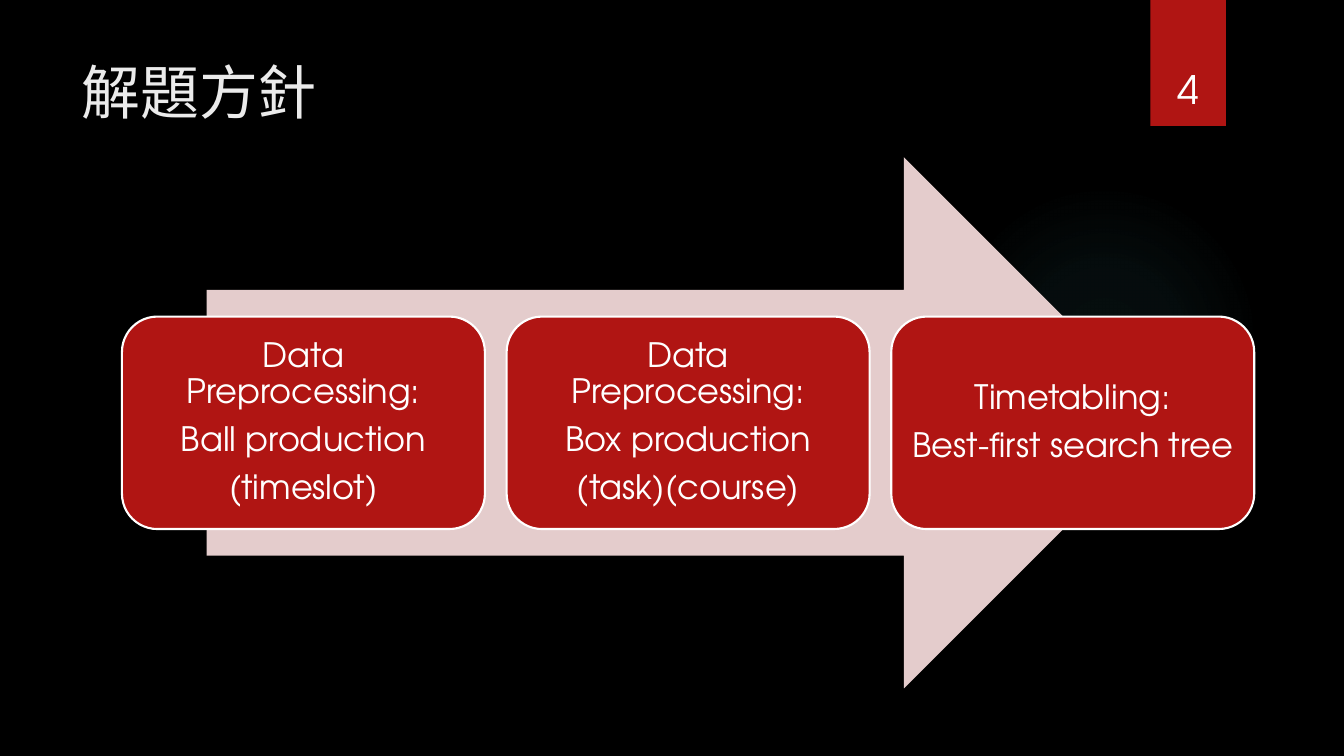
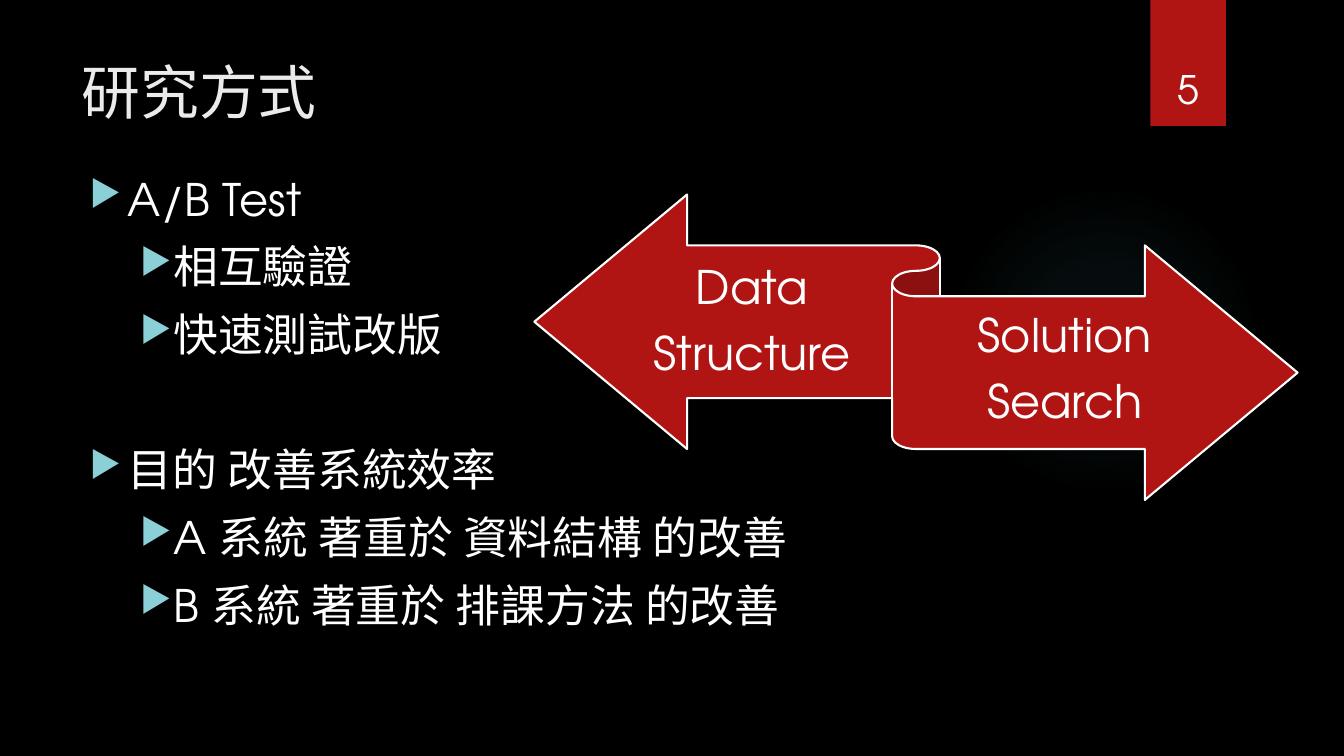
from lxml import etree
from pptx import Presentation
from pptx.dml.color import RGBColor
from pptx.enum.shapes import MSO_SHAPE
from pptx.enum.text import MSO_ANCHOR, PP_ALIGN
from pptx.oxml import parse_xml
from pptx.oxml.ns import nsdecls, qn
from pptx.util import Inches, Pt

CENTER, LEFT = PP_ALIGN.CENTER, PP_ALIGN.LEFT
TOP, MIDDLE, BOTTOM = MSO_ANCHOR.TOP, MSO_ANCHOR.MIDDLE, MSO_ANCHOR.BOTTOM

FONT = "TeX Gyre Adventor"
COLORS = {"ground": "000000", "red": "B01513", "pink": "E4CCCC", "white": "FFFFFF",
          "title": "EBEBEB", "bullet": "8AD0D6", "glow": "50B9C1"}
WIDTH, HEIGHT = 13.33, 7.5

STEPS_TITLE = "解題方針"
STEPS = [
    ["Data Preprocessing:", "Ball production", "(timeslot)"],
    ["Data Preprocessing:", "Box production", "(task)(course)"],
    ["Timetabling:", "Best-first search tree"],
]
METHOD_TITLE = "研究方式"
METHOD = [
    ("A/B Test", ["相互驗證", "快速測試改版"]),
    ("目的 改善系統效率", ["A 系統 著重於 資料結構 的改善", "B 系統 著重於 排課方法 的改善"]),
]
RIBBON_SIDES = [
    (["Data", "Structure"], (0.12, 0.175, 0.33, 0.49)),
    (["Solution", "Search"], (0.5, 0.333, 0.39, 0.49)),
]

GLOW_BOX = (9.41, 1.83, 3.08, 3.08)
GLOW_STOPS = [(0, 7), (36, 6), (69, 0)]
BADGE_BOX = (11.41, 0, 0.75, HEIGHT / 6)
TITLE_BOX = (0.71, 0.5, 10.29, 1.53)
ARROW_BOX = (2.05, 1.56, 9.55, 5.27)
STEP_LEFT, STEP_WIDTH, STEP_PITCH = 1.21, 3.6, 3.815
BODY_BOX = (0.79, 1.65, 9.78, 4.59)
RIBBON_BOX = (5.3, 1.93, 7.57, 3.03)
LEVEL_INDENTS = [(0.38, 0.38), (0.81, 0.31)]
BULLET_GAP, GROUP_GAP = 10, 58


def rgb(name):
    return RGBColor.from_string(COLORS[name])


def add_figure(slide, preset, box, fill, outlined=False):
    figure = slide.shapes.add_shape(preset, *map(Inches, box))
    figure.shadow.inherit = False
    figure.fill.solid()
    figure.fill.fore_color.rgb = rgb(fill)
    if outlined:
        figure.line.color.rgb = rgb("white")
        figure.line.width = Pt(1.5)
    else:
        figure.line.fill.background()
    return figure


def add_textbox(slide, box):
    return slide.shapes.add_textbox(*map(Inches, box))


def set_frame(shape, anchor, margins):
    frame = shape.text_frame
    frame.word_wrap = True
    frame.vertical_anchor = anchor
    (frame.margin_left, frame.margin_top,
     frame.margin_right, frame.margin_bottom) = map(Inches, margins)
    return frame


def style(paragraph, size, color="white", align=LEFT):
    paragraph.alignment = align
    paragraph.font.name = FONT
    paragraph.font.size = Pt(size)
    paragraph.font.color.rgb = rgb(color)


def write_lines(frame, lines, size, color="white", align=CENTER):
    frame.text = "\n".join(lines)
    for paragraph in frame.paragraphs:
        style(paragraph, size, color, align)
        if len(lines) > 1:
            paragraph.line_spacing = 0.9
            paragraph.space_after = Pt(0.35 * size)


def add_glow(slide):
    glow = add_figure(slide, MSO_SHAPE.OVAL, GLOW_BOX, "glow")
    stops = "".join(
        f'<a:gs pos="{position * 1000}"><a:srgbClr val="{COLORS["glow"]}">'
        f'<a:alpha val="{alpha * 1000}"/></a:srgbClr></a:gs>'
        for position, alpha in GLOW_STOPS)
    gradient = parse_xml(
        f'<a:gradFill {nsdecls("a")}><a:gsLst>{stops}</a:gsLst><a:path path="circle">'
        '<a:fillToRect l="50000" t="50000" r="50000" b="50000"/></a:path></a:gradFill>')
    properties = glow.fill._xPr
    properties.replace(properties.find(qn("a:solidFill")), gradient)


def add_bullet(paragraph, level):
    left, hanging = LEVEL_INDENTS[level]
    properties = paragraph._p.get_or_add_pPr()
    properties.set("marL", str(Inches(left)))
    properties.set("indent", str(-Inches(hanging)))
    color = etree.SubElement(properties, qn("a:buClr"))
    etree.SubElement(color, qn("a:srgbClr"), val=COLORS["bullet"])
    etree.SubElement(properties, qn("a:buSzPct"), val="80000")
    etree.SubElement(properties, qn("a:buChar"), char="▶")


def start_slide(deck, title, number):
    slide = deck.slides.add_slide(deck.slide_layouts[6])
    slide.background.fill.solid()
    slide.background.fill.fore_color.rgb = rgb("ground")
    add_glow(slide)
    badge = add_figure(slide, MSO_SHAPE.RECTANGLE, BADGE_BOX, "red")
    write_lines(set_frame(badge, BOTTOM, (0, 0, 0, 0.14)), [str(number)], 28)
    heading = set_frame(add_textbox(slide, TITLE_BOX), TOP, (0.1, 0.05, 0.1, 0.05))
    write_lines(heading, [title], 42, "title", LEFT)
    return slide


def build_steps(deck):
    slide = start_slide(deck, STEPS_TITLE, 4)
    add_figure(slide, MSO_SHAPE.RIGHT_ARROW, ARROW_BOX, "pink")
    arrow_top, arrow_height = ARROW_BOX[1], ARROW_BOX[3]
    for column, lines in enumerate(STEPS):
        box = (STEP_LEFT + column * STEP_PITCH, arrow_top + 0.3 * arrow_height,
               STEP_WIDTH, 0.4 * arrow_height)
        step = add_figure(slide, MSO_SHAPE.ROUNDED_RECTANGLE, box, "red", True)
        write_lines(set_frame(step, MIDDLE, (0.1, 0.1, 0.1, 0.1)), lines, 24)


def build_method(deck):
    slide = start_slide(deck, METHOD_TITLE, 5)
    body = set_frame(add_textbox(slide, BODY_BOX), TOP, (0.1, 0.05, 0.1, 0.05))
    rows = []
    for group, (topic, details) in enumerate(METHOD):
        rows.append((topic, 0, GROUP_GAP if group else BULLET_GAP))
        rows += [(detail, 1, BULLET_GAP) for detail in details]
    body.text = "\n".join(text for text, level, gap in rows)
    for paragraph, (text, level, gap) in zip(body.paragraphs, rows):
        paragraph.level = level
        add_bullet(paragraph, level)
        paragraph.space_before = Pt(gap)
        style(paragraph, 32)

    add_figure(slide, MSO_SHAPE.LEFT_RIGHT_RIBBON, RIBBON_BOX, "red", True)
    left, top, width, height = RIBBON_BOX
    for lines, (x, y, w, h) in RIBBON_SIDES:
        side = add_textbox(slide, (left + x * width, top + y * height, w * width, h * height))
        write_lines(set_frame(side, MIDDLE, (0, 0.13, 0, 0.14)), lines, 33)


deck = Presentation()
deck.slide_width, deck.slide_height = Inches(WIDTH), Inches(HEIGHT)
build_steps(deck)
build_method(deck)
deck.save("out.pptx")
